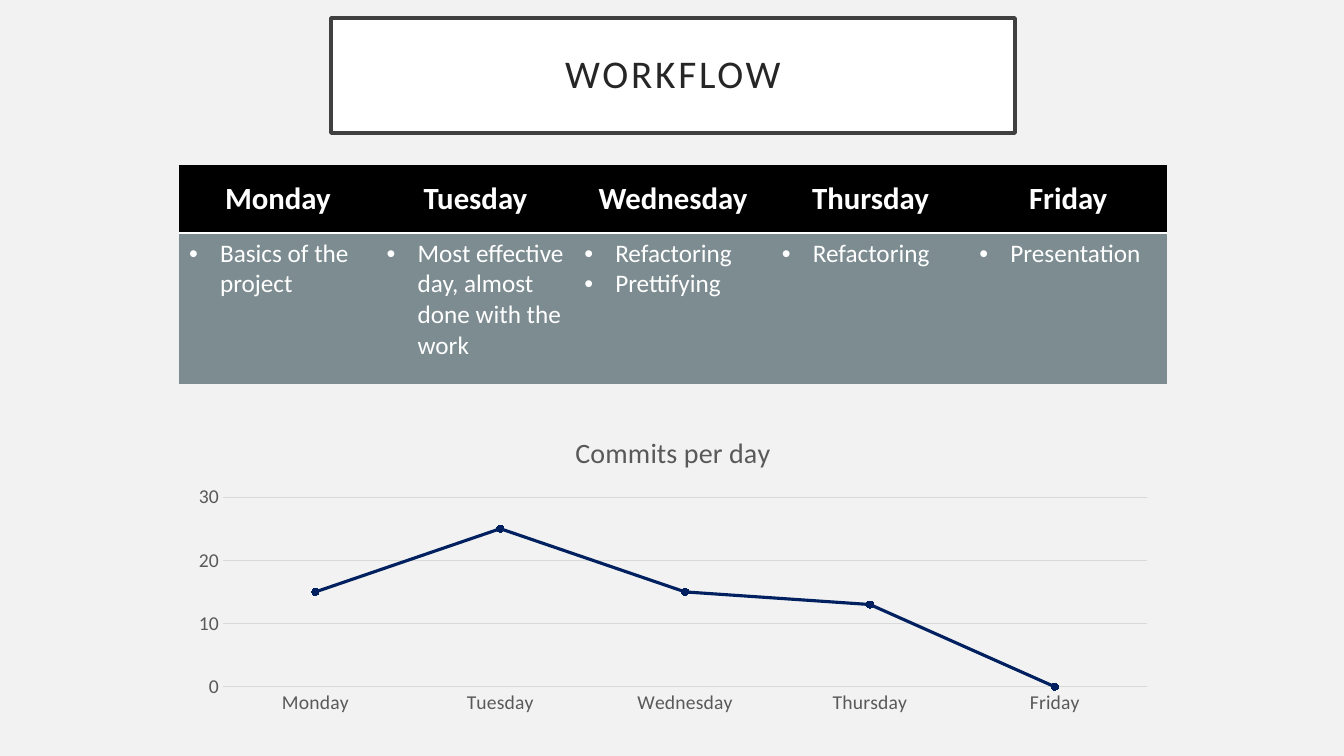
from dataclasses import dataclass

from lxml import etree
from pptx import Presentation
from pptx.chart.data import CategoryChartData
from pptx.dml.color import RGBColor
from pptx.enum.chart import XL_CHART_TYPE, XL_MARKER_STYLE, XL_TICK_MARK
from pptx.enum.text import MSO_ANCHOR, MSO_AUTO_SIZE, PP_ALIGN
from pptx.oxml import parse_xml
from pptx.oxml.ns import nsdecls, qn
from pptx.util import Pt

LINE_MARKERS = XL_CHART_TYPE.LINE_MARKERS
CIRCLE = XL_MARKER_STYLE.CIRCLE
NO_TICK = XL_TICK_MARK.NONE
MIDDLE = MSO_ANCHOR.MIDDLE
NO_AUTOFIT = MSO_AUTO_SIZE.NONE
CENTER = PP_ALIGN.CENTER

# Content
HEADING = "WORKFLOW"
CHART_TITLE = "Commits per day"
DAYS = [
    ("Monday", ["Basics of the project"], 15),
    ("Tuesday", ["Most effective day, almost done with the work"], 25),
    ("Wednesday", ["Refactoring", "Prettifying"], 15),
    ("Thursday", ["Refactoring"], 13),
    ("Friday", ["Presentation"], 0),
]

# Layout in px: left, top, width, height
SLIDE_SIZE = (1344, 756)
HEADING_BOX = (331, 18, 684, 115)
SCHEDULE_BOX = (179, 165, 988, 219)
CHART_BOX = (179, 416, 988, 305)
HEADER_HEIGHT = 68
HEADING_INSET = 20
BULLET_INDENT = 31
EMU_PER_PX = 914400 / 100.8
PLAIN_TABLE_STYLE = "{2D5ABB26-0587-4C30-8999-92F81FD0307C}"


@dataclass(frozen=True)
class Theme:
    font: str = "Calibri"
    background: str = "F2F2F2"
    white: str = "FFFFFF"
    heading: str = "262626"
    frame: str = "404040"
    header: str = "000000"
    body: str = "7C8C91"
    chart_text: str = "595959"
    grid: str = "D9D9D9"
    series: str = "002060"
    heading_size: int = 28
    header_size: int = 22
    body_size: int = 18
    chart_title_size: int = 20
    axis_size: int = 14


THEME = Theme()


def px(length):
    return round(length * EMU_PER_PX)


def box(lengths):
    return [px(length) for length in lengths]


def rgb(color):
    return RGBColor.from_string(color)


def set_fill(fill, color):
    fill.solid()
    fill.fore_color.rgb = rgb(color)


def set_line(line, color, width):
    line.color.rgb = rgb(color)
    line.width = Pt(width)


def set_font(font, size, color, bold=False):
    font.name = THEME.font
    font.size = Pt(size)
    font.bold = bold
    font.color.rgb = rgb(color)


def add_bullet(paragraph):
    properties = paragraph._p.get_or_add_pPr()
    properties.set("marL", str(px(BULLET_INDENT)))
    properties.set("indent", str(-px(BULLET_INDENT)))
    bullet_font = etree.Element(qn("a:buFont"), typeface="Arial")
    bullet = etree.Element(qn("a:buChar"), char="•")
    properties.insert_element_before(bullet_font, "a:defRPr")
    properties.insert_element_before(bullet, "a:defRPr")


def add_bottom_border(cell, color, width):
    border = parse_xml(
        f'<a:lnB {nsdecls("a")} w="{Pt(width)}"><a:solidFill>'
        f'<a:srgbClr val="{color}"/></a:solidFill></a:lnB>'
    )
    cell._tc.get_or_add_tcPr().insert(0, border)


# Slide
deck = Presentation()
deck.slide_width, deck.slide_height = box(SLIDE_SIZE)
slide = deck.slides.add_slide(deck.slide_layouts[5])
set_fill(slide.background.fill, THEME.background)

# Heading
heading = slide.shapes.title
heading.left, heading.top, heading.width, heading.height = box(HEADING_BOX)
set_fill(heading.fill, THEME.white)
set_line(heading.line, THEME.frame, 2.5)
frame = heading.text_frame
frame.text = HEADING
frame.auto_size = NO_AUTOFIT
frame.word_wrap = True
frame.vertical_anchor = MIDDLE
frame.margin_left = frame.margin_right = px(HEADING_INSET)
frame.margin_top = frame.margin_bottom = px(HEADING_INSET)
heading_line = frame.paragraphs[0]
heading_line.alignment = CENTER
heading_line.line_spacing = 0.9
set_font(heading_line.font, THEME.heading_size, THEME.heading)
heading_line.runs[0].font._element.set("spc", "200")

# Schedule table
schedule = slide.shapes.add_table(2, len(DAYS), *box(SCHEDULE_BOX)).table
schedule._tbl.tblPr.find(qn("a:tableStyleId")).text = PLAIN_TABLE_STYLE
schedule.horz_banding = False
schedule.rows[0].height = px(HEADER_HEIGHT)
schedule.rows[1].height = px(SCHEDULE_BOX[3] - HEADER_HEIGHT)

for column, (day, tasks, _) in enumerate(DAYS):
    schedule.columns[column].width = px(SCHEDULE_BOX[2] / len(DAYS))

    day_cell = schedule.cell(0, column)
    day_cell.text = day
    day_cell.vertical_anchor = MIDDLE
    set_fill(day_cell.fill, THEME.header)
    add_bottom_border(day_cell, THEME.white, 2)
    day_line = day_cell.text_frame.paragraphs[0]
    day_line.alignment = CENTER
    set_font(day_line.font, THEME.header_size, THEME.white, bold=True)

    task_cell = schedule.cell(1, column)
    task_cell.text = "\n".join(tasks)
    set_fill(task_cell.fill, THEME.body)
    for task_line in task_cell.text_frame.paragraphs:
        set_font(task_line.font, THEME.body_size, THEME.white)
        add_bullet(task_line)

# Commits chart
commits_data = CategoryChartData()
commits_data.categories = [day for day, _, _ in DAYS]
commits_data.add_series(CHART_TITLE, [commits for _, _, commits in DAYS])
chart = slide.shapes.add_chart(LINE_MARKERS, *box(CHART_BOX), commits_data).chart
set_font(chart.font, THEME.axis_size, THEME.chart_text)
chart.has_legend = False
chart.has_title = True
chart.chart_title.include_in_layout = False
chart.chart_title.text_frame.text = CHART_TITLE
chart_heading = chart.chart_title.text_frame.paragraphs[0]
set_font(chart_heading.font, THEME.chart_title_size, THEME.chart_text)

day_axis, count_axis = chart.category_axis, chart.value_axis
for axis in (day_axis, count_axis):
    axis.major_tick_mark = axis.minor_tick_mark = NO_TICK
    set_font(axis.tick_labels.font, THEME.axis_size, THEME.chart_text)
set_line(day_axis.format.line, THEME.grid, 0.75)
count_axis.format.line.fill.background()
count_axis.minimum_scale = 0
count_axis.maximum_scale = 30
count_axis.major_unit = 10
set_line(count_axis.major_gridlines.format.line, THEME.grid, 0.75)

chart.plots[0].vary_by_categories = False
commits_line = chart.plots[0].series[0]
commits_line.smooth = False
set_line(commits_line.format.line, THEME.series, 2.25)
marker = commits_line.marker
marker.style = CIRCLE
marker.size = 5
set_fill(marker.format.fill, THEME.series)
set_line(marker.format.line, THEME.series, 0.75)

deck.save("out.pptx")
